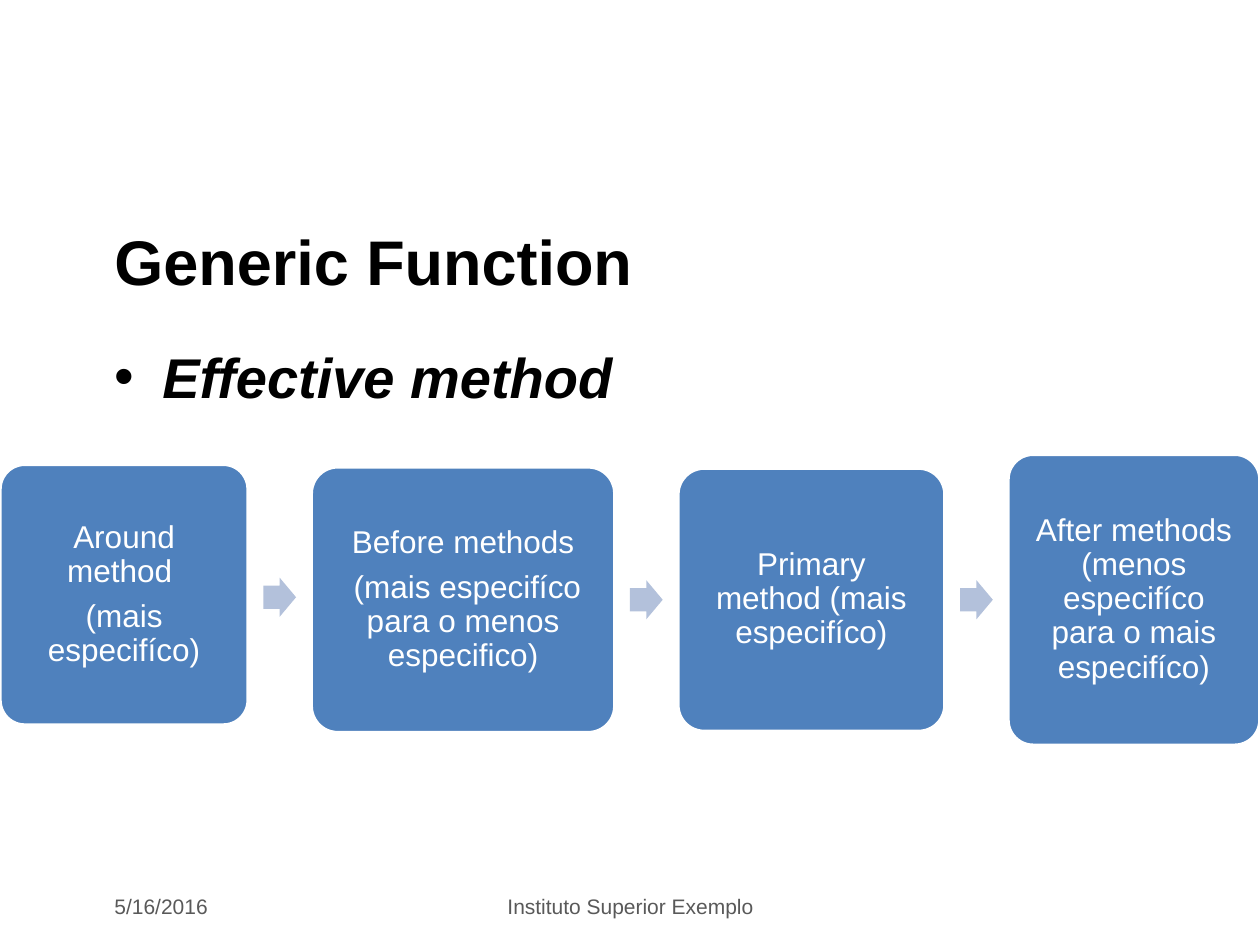
from lxml.etree import SubElement
from pptx import Presentation
from pptx.dml.color import RGBColor
from pptx.enum.shapes import MSO_SHAPE
from pptx.enum.text import MSO_ANCHOR, PP_ALIGN
from pptx.oxml.ns import qn
from pptx.util import Inches, Pt

COLORS = {"ink": "000000", "footer": "595959", "step": "4F81BD",
          "arrow": "B3C1DB", "white": "FFFFFF"}
WIDTH, HEIGHT = 10, 7.5
MARGIN = 0.81

TITLE = "Generic Function"
BULLET = "Effective method"
DATE = "5/16/2016"
INSTITUTE = "Instituto Superior Exemplo"

# paragraphs, width, height, vertical centre
STEPS = [
    (["Around method ", "(mais especifíco)"], 1.97, 2.07, 4.72),
    (["Before methods", " (mais especifíco para o menos especifico)"], 2.41, 2.11, 4.76),
    (["Primary method (mais especifíco)"], 2.12, 2.09, 4.76),
    (["After methods (menos especifíco para o mais especifíco)"], 2, 2.31, 4.76),
]
GAP = (WIDTH - sum(step[1] for step in STEPS)) / (len(STEPS) - 1)
ARROW_WIDTH, ARROW_HEIGHT = 0.26, 0.31
STEP_INSET = 0.13

HEADING = {"size": Pt(36), "bold": True}
EMPHASIS = {"size": Pt(32), "bold": True, "italic": True}
STEP_FONT = {"size": Pt(18)}
FOOTER_FONT = {"size": Pt(12)}
STEP_PARAGRAPH = {"alignment": PP_ALIGN.CENTER, "line_spacing": 0.9, "space_after": Pt(6.3)}


def write(frame, texts, font, color, paragraph=None, anchor=MSO_ANCHOR.MIDDLE):
    frame.word_wrap = True
    frame.vertical_anchor = anchor
    for index, text in enumerate(texts):
        para = frame.add_paragraph() if index else frame.paragraphs[0]
        for name, value in (paragraph or {}).items():
            setattr(para, name, value)
        span = para.add_run()
        span.text = text
        span.font.name = "Arial"
        span.font.color.rgb = RGBColor.from_string(COLORS[color])
        for name, value in font.items():
            setattr(span.font, name, value)


def add_text(page, place, *content, **options):
    box = page.shapes.add_textbox(*map(Inches, place))
    write(box.text_frame, *content, **options)
    return box


def add_solid(page, kind, place, color, adjustments):
    shape = page.shapes.add_shape(kind, *map(Inches, place))
    shape.shadow.inherit = False
    shape.fill.solid()
    shape.fill.fore_color.rgb = RGBColor.from_string(COLORS[color])
    shape.line.fill.background()
    for index, value in enumerate(adjustments):
        shape.adjustments[index] = value
    return shape


def add_bullet(para, indent):
    properties = para._p.get_or_add_pPr()
    properties.set("marL", str(Inches(indent)))
    properties.set("indent", str(-Inches(indent)))
    SubElement(properties, qn("a:buFont")).set("typeface", "Arial")
    SubElement(properties, qn("a:buChar")).set("char", "•")


def add_steps(page):
    left = 0
    for index, (texts, width, height, middle) in enumerate(STEPS):
        if index:
            arrow_left = left - (GAP + ARROW_WIDTH) / 2
            arrow_top = (middle + STEPS[index - 1][3] - ARROW_HEIGHT) / 2
            add_solid(page, MSO_SHAPE.RIGHT_ARROW,
                      (arrow_left, arrow_top, ARROW_WIDTH, ARROW_HEIGHT), "arrow", (0.6, 0.5))
        box = add_solid(page, MSO_SHAPE.ROUNDED_RECTANGLE,
                        (left, middle - height / 2, width, height), "step", (0.1,))
        box.line.color.rgb = RGBColor.from_string(COLORS["white"])
        box.line.width = Pt(2)
        for side in ("left", "right", "top", "bottom"):
            setattr(box.text_frame, f"margin_{side}", Inches(STEP_INSET))
        write(box.text_frame, texts, STEP_FONT, "white", STEP_PARAGRAPH)
        left += width + GAP


def main():
    deck = Presentation()
    deck.slide_width, deck.slide_height = Inches(WIDTH), Inches(HEIGHT)
    page = deck.slides.add_slide(deck.slide_layouts[6])

    content_width = WIDTH - 2 * MARGIN
    add_text(page, (MARGIN, 1.59, content_width, 0.95), [TITLE], HEADING, "ink")
    body = add_text(page, (MARGIN, 2.67, content_width, 0.68), [BULLET], EMPHASIS, "ink",
                    paragraph={"space_before": Pt(3)}, anchor=MSO_ANCHOR.TOP)
    add_bullet(body.text_frame.paragraphs[0], 0.38)

    add_steps(page)

    add_text(page, (MARGIN, 7.02, 2.02, 0.34), [DATE], FOOTER_FONT, "footer")
    add_text(page, (3.42, 7.02, 3.17, 0.34), [INSTITUTE], FOOTER_FONT, "footer",
             paragraph={"alignment": PP_ALIGN.CENTER})
    deck.save("out.pptx")


if __name__ == "__main__":
    main()
